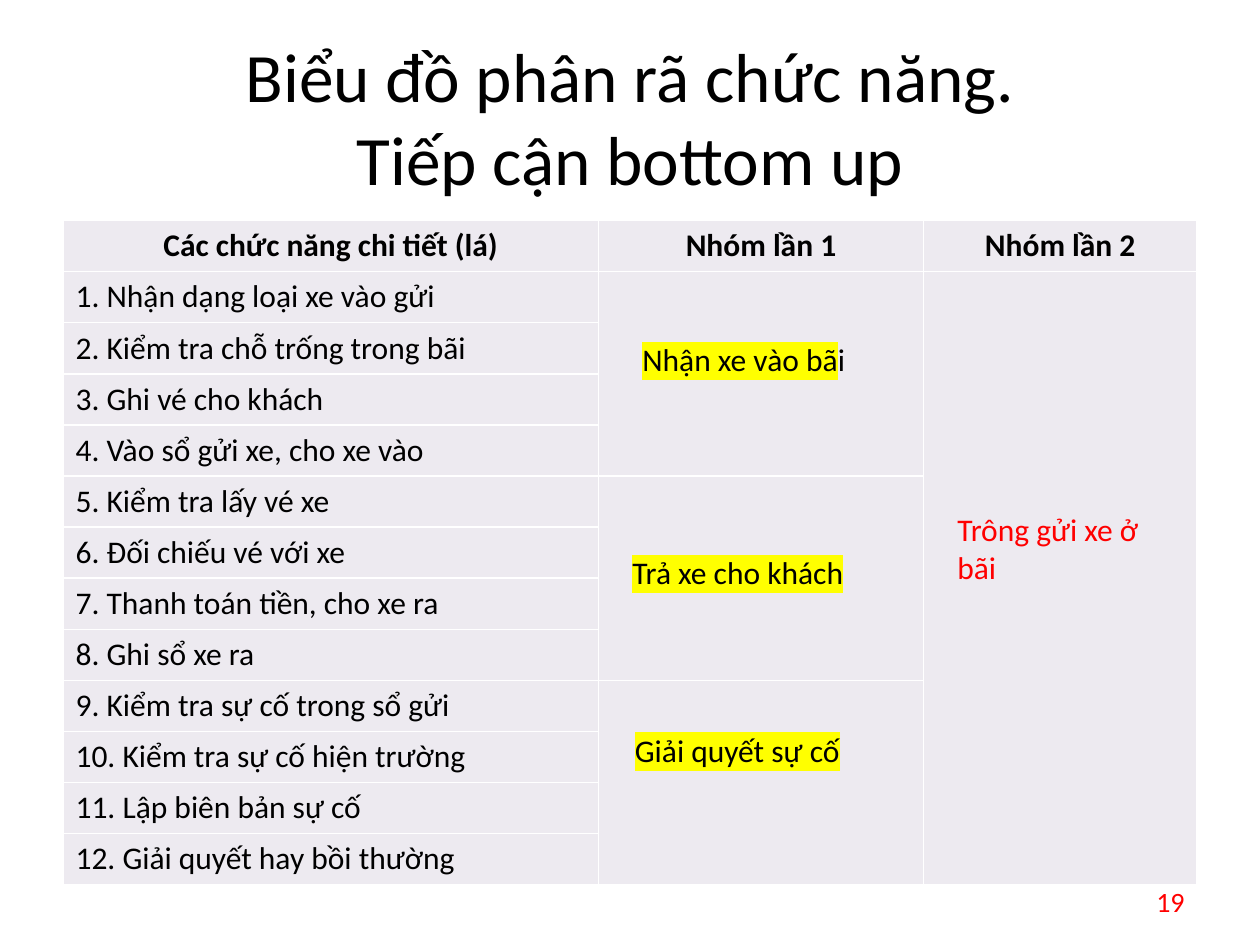
from dataclasses import dataclass

from lxml.etree import SubElement
from pptx import Presentation
from pptx.dml.color import RGBColor
from pptx.enum.text import MSO_ANCHOR, PP_ALIGN
from pptx.oxml.ns import qn
from pptx.util import Inches, Pt


@dataclass(frozen=True)
class Theme:
    font: str = "Calibri"
    ink: str = "000000"
    accent: str = "FF0000"
    mark: str = "FFFF00"
    cell: str = "EDEAF0"
    rule: str = "FFFFFF"
    title: float = 39.6
    body: float = 18
    number: float = 16


THEME = Theme()
HEADS = ["Các chức năng chi tiết (lá)", "Nhóm lần 1", "Nhóm lần 2"]
TASKS = [
    "Nhận dạng loại xe vào gửi",
    "Kiểm tra chỗ trống trong bãi",
    "Ghi vé cho khách",
    "Vào sổ gửi xe, cho xe vào",
    "Kiểm tra lấy vé xe",
    "Đối chiếu vé với xe",
    "Thanh toán tiền, cho xe ra",
    "Ghi sổ xe ra",
    "Kiểm tra sự cố trong sổ gửi",
    "Kiểm tra sự cố hiện trường",
    "Lập biên bản sự cố",
    "Giải quyết hay bồi thường",
]
COLS = [4.25, 2.58, 2.17]
GROUP = 4  # tasks in each first-level group
# Group labels: offset from the table corner, width, marked text, plain tail
GROUPS = [
    (4.5, 0.9, 2.17, "Nhận xe vào bã", "i"),
    (4.42, 2.59, 2.33, "Trả xe cho khách", ""),
    (4.44, 4.0, 2.25, "Giải quyết sự cố", ""),
]


def style(para, size=THEME.body, color=THEME.ink, bold=False, align=PP_ALIGN.LEFT):
    para.alignment = align
    font = para.font
    font.name, font.size, font.bold = THEME.font, Pt(size), bold
    font.color.rgb = RGBColor.from_string(color)


def mark(run):
    """Highlight the run."""
    light = SubElement(run.font._element, qn("a:highlight"))
    SubElement(light, qn("a:srgbClr"), val=THEME.mark)


def paint(cell):
    """Give the cell its fill and its four thin rules."""
    props = cell._tc.get_or_add_tcPr()
    for side in ("lnL", "lnR", "lnT", "lnB"):
        line = SubElement(props, qn(f"a:{side}"), w=str(Pt(1)))
        fill = SubElement(line, qn("a:solidFill"))
        SubElement(fill, qn("a:srgbClr"), val=THEME.rule)
    cell.fill.solid()
    cell.fill.fore_color.rgb = RGBColor.from_string(THEME.cell)


def add_title(slide, x, y, w, h):
    title = slide.shapes.title
    title.left, title.top, title.width, title.height = map(Inches, (x, y, w, h))
    frame = title.text_frame
    frame.vertical_anchor = MSO_ANCHOR.MIDDLE
    frame.text = "Biểu đồ phân rã chức năng.\vTiếp cận bottom up"
    style(frame.paragraphs[0], THEME.title, align=PP_ALIGN.CENTER)


def add_label(slide, x, y, w, h, text=""):
    box = slide.shapes.add_textbox(*map(Inches, (x, y, w, h)))
    frame = box.text_frame
    frame.word_wrap = True
    frame.text = text
    return frame


def add_grid(slide, x, y, w, h):
    count = len(TASKS) + 1
    box = map(Inches, (x, y, w, h))
    table = slide.shapes.add_table(count, len(COLS), *box).table
    table.first_row = table.horz_banding = False
    for col, width in zip(table.columns, COLS):
        col.width = Inches(width)
    for row in table.rows:
        row.height = Inches(h / count)
    for cell in table.iter_cells():
        paint(cell)
    for col, head in enumerate(HEADS):
        cell = table.cell(0, col)
        cell.text = head
        style(cell.text_frame.paragraphs[0], bold=True, align=PP_ALIGN.CENTER)
    for row, task in enumerate(TASKS, 1):
        cell = table.cell(row, 0)
        cell.text = f"{row}. {task}"
        style(cell.text_frame.paragraphs[0])
    for row in range(1, count, GROUP):
        table.cell(row, 1).merge(table.cell(row + GROUP - 1, 1))
    table.cell(1, 2).merge(table.cell(count - 1, 2))


def add_groups(slide, x, y):
    """Place the group labels over the merged cells of the grid at x, y."""
    for dx, dy, w, text, tail in GROUPS:
        para = add_label(slide, x + dx, y + dy, w, 0.4).paragraphs[0]
        style(para)
        run = para.add_run()
        run.text = text
        mark(run)
        if tail:
            para.add_run().text = tail
    whole = add_label(slide, x + 7, y + 2.25, 1.92, 1.01, "Trông gửi xe ở bãi")
    style(whole.paragraphs[0], color=THEME.accent)


def add_number(slide, x, y, w, h):
    frame = add_label(slide, x, y, w, h, "19")
    frame.vertical_anchor = MSO_ANCHOR.MIDDLE
    style(frame.paragraphs[0], THEME.number, THEME.accent, align=PP_ALIGN.RIGHT)


def main():
    deck = Presentation()
    deck.slide_width, deck.slide_height = Inches(10), Inches(7.5)
    slide = deck.slides.add_slide(deck.slide_layouts[5])
    add_title(slide, 0.5, 0.3, 9, 1.25)
    add_grid(slide, 0.5, 1.75, 9, 5.27)
    add_number(slide, 7.17, 6.95, 2.33, 0.4)
    add_groups(slide, 0.5, 1.75)
    deck.save("out.pptx")


if __name__ == "__main__":
    main()
